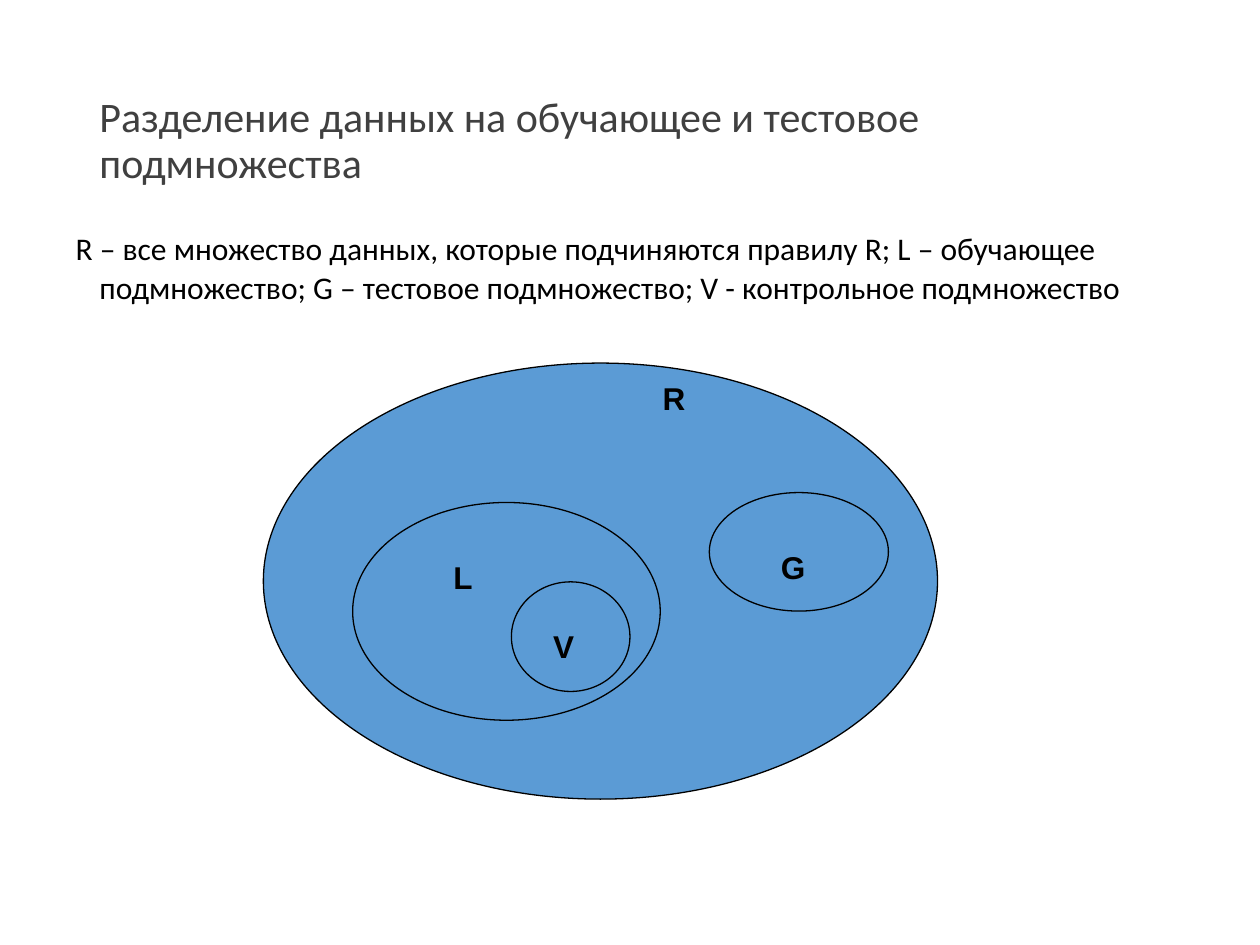
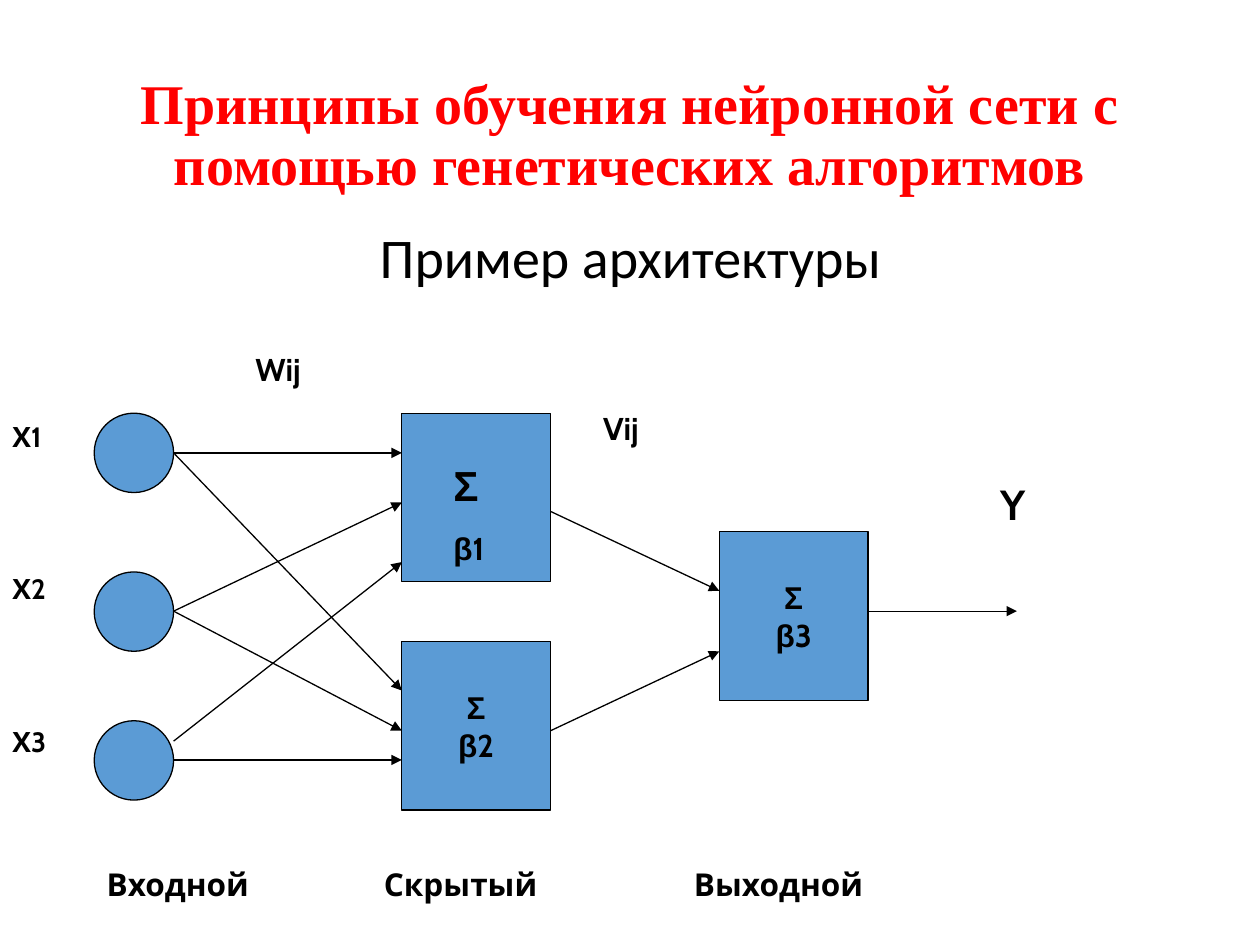
from lxml import etree
from pptx import Presentation
from pptx.dml.color import RGBColor
from pptx.enum.shapes import MSO_CONNECTOR, MSO_SHAPE
from pptx.enum.text import MSO_ANCHOR, MSO_AUTO_SIZE, PP_ALIGN
from pptx.oxml.ns import qn
from pptx.util import Cm, Pt

OVAL, RECT = MSO_SHAPE.OVAL, MSO_SHAPE.RECTANGLE
STRAIGHT = MSO_CONNECTOR.STRAIGHT
TOP, MIDDLE = MSO_ANCHOR.TOP, MSO_ANCHOR.MIDDLE
LEFT, CENTER = PP_ALIGN.LEFT, PP_ALIGN.CENTER
COLORS = {"black": "000000", "blue": "5B9BD5", "gray": "404040", "red": "FF0000"}
LINE_WIDTH = Pt(0.75)


def write(frame, paragraphs, align=LEFT, color="black", bold=True, spacing=1.0, gap=0):
    """Fill a frame; each paragraph is a list of (text, size, font) runs."""
    frame.word_wrap = True
    for number, runs in enumerate(paragraphs):
        paragraph = frame.paragraphs[0] if number == 0 else frame.add_paragraph()
        paragraph.alignment = align
        paragraph.line_spacing = spacing
        paragraph.space_before = Pt(gap if number else 0)
        for text, size, font in runs:
            run = paragraph.add_run()
            run.text = text
            run.font.size = Pt(size)
            run.font.name = font
            run.font.bold = bold
            run.font.color.rgb = RGBColor.from_string(COLORS[color])


def add_node(slide, kind, box):
    node = slide.shapes.add_shape(kind, *map(Cm, box))
    node.shadow.inherit = False
    node.fill.solid()
    node.fill.fore_color.rgb = RGBColor.from_string(COLORS["blue"])
    node.line.color.rgb = RGBColor.from_string(COLORS["black"])
    node.line.width = LINE_WIDTH
    return node


prs = Presentation()
prs.slide_width, prs.slide_height = Cm(25.4), Cm(19.05)
subsets_slide = prs.slides.add_slide(prs.slide_layouts[1])
network_slide = prs.slides.add_slide(prs.slide_layouts[0])

subsets_title, subsets_legend = subsets_slide.placeholders
network_title, network_subtitle = network_slide.placeholders
for placeholder, box, anchor in [
    (subsets_title, (1.75, 1.02, 21.92, 3.68), MIDDLE),
    (subsets_legend, (1.27, 4.45, 22.86, 14.07), TOP),
    (network_title, (1.9, 0.71, 21.59, 4.09), MIDDLE),
    (network_subtitle, (0.51, 4.52, 24.41, 14), TOP),
]:
    placeholder.left, placeholder.top, placeholder.width, placeholder.height = map(Cm, box)
    placeholder.text_frame.auto_size = MSO_AUTO_SIZE.NONE
    placeholder.text_frame.vertical_anchor = anchor

# Slide 1: data subsets
write(subsets_title.text_frame,
      [[("Разделение данных на обучающее и тестовое подмножества", 24, "Calibri")]],
      color="gray", bold=False, spacing=0.9)

legend_format = subsets_legend.text_frame.paragraphs[0]._p.get_or_add_pPr()
legend_format.set("marL", str(Cm(0.48)))
legend_format.set("indent", str(-Cm(0.48)))
etree.SubElement(legend_format, qn("a:buNone"))
write(subsets_legend.text_frame,
      [[("R – все множество данных, которые подчиняются правилу R; L – обучающее "
         "подмножество; G – тестовое подмножество; V - контрольное подмножество",
         18, "Calibri")]],
      bold=False, spacing=1.04)

for subset, oval_box, label_box in [
    ("R", (5.31, 7.32, 13.59, 8.79), (13.11, 7.52, 1.8, 1.02)),
    ("L", (7.11, 10.13, 6.2, 4.39), (8.89, 11.13, 2, 1.02)),
    ("G", (14.3, 9.93, 3.61, 2.39), (15.49, 10.92, 1.4, 1.02)),
    ("V", (10.31, 11.73, 2.39, 2.21), (10.9, 12.52, 1.4, 1.02)),
]:
    add_node(subsets_slide, OVAL, oval_box)
    label = subsets_slide.shapes.add_textbox(*map(Cm, label_box))
    write(label.text_frame, [[(subset, 18, "Arial")]])

# Slide 2: network architecture
write(network_title.text_frame,
      [[("Принципы обучения нейронной сети с помощью генетических алгоритмов",
         32, "Times New Roman")]],
      align=CENTER, color="red", spacing=0.9)
write(network_subtitle.text_frame, [[("Пример архитектуры", 32, "Calibri")]],
      align=CENTER, bold=False, spacing=0.9)

INPUT_LEFT, INPUT_SIZE = 1.9, 1.6
HIDDEN_LEFT, OUTPUT_LEFT = 8.1, 14.5
NEURON_WIDTH, NEURON_HEIGHT = 3, 3.4
for top in (8.33, 11.53, 14.53):
    add_node(network_slide, OVAL, (INPUT_LEFT, top, INPUT_SIZE, INPUT_SIZE))

for left, top, bias in [
    (HIDDEN_LEFT, 8.33, None),
    (HIDDEN_LEFT, 12.93, "2"),
    (OUTPUT_LEFT, 10.72, "3"),
]:
    neuron = add_node(network_slide, RECT, (left, top, NEURON_WIDTH, NEURON_HEIGHT))
    if bias:
        neuron.text_frame.vertical_anchor = MIDDLE
        write(neuron.text_frame,
              [[("Σ", 18, "Arial")], [("β", 18, "Arial"), (bias, 18, "Cabin")]],
              align=CENTER)

input_right = INPUT_LEFT + INPUT_SIZE
hidden_right = HIDDEN_LEFT + NEURON_WIDTH
output_right = OUTPUT_LEFT + NEURON_WIDTH
for start_x, end_x, heights in [
    (input_right, HIDDEN_LEFT, [(9.13, 9.13), (15.32, 15.32), (9.13, 13.92),
                                (12.32, 10.13), (12.32, 14.73), (14.94, 11.33)]),
    (hidden_right, OUTPUT_LEFT, [(10.31, 11.91), (14.73, 13.13)]),
    (output_right, 20.5, [(12.32, 12.32)]),
]:
    for start_y, end_y in heights:
        arrow = network_slide.shapes.add_connector(
            STRAIGHT, Cm(start_x), Cm(start_y), Cm(end_x), Cm(end_y))
        arrow.line.color.rgb = RGBColor.from_string(COLORS["black"])
        arrow.line.width = LINE_WIDTH
        etree.SubElement(arrow.line._get_or_add_ln(), qn("a:tailEnd"), type="triangle")
        etree.SubElement(arrow._element.spPr, qn("a:effectLst"))

for box, gap, paragraphs in [
    ((0, 8.33, 1.3, 9.17), 68, [[(name, 16, "Cabin")] for name in ("Х1", "Х2", "Х3")]),
    ((4.9, 6.93, 1.6, 1.02), 0, [[("Wij", 18, "Cabin")]]),
    ((11.91, 8.13, 1.6, 1.02), 0, [[("Vij", 18, "Cabin")]]),
    ((8.89, 9.13, 1.4, 2.44), 11.2,
     [[("Σ", 24, "Arial")], [("β", 18, "Arial"), ("1", 18, "Cabin")]]),
    ((19.91, 9.53, 2.39, 1.27), 0, [[("Y", 24, "Cabin")]]),
]:
    label = network_slide.shapes.add_textbox(*map(Cm, box))
    write(label.text_frame, paragraphs, gap=gap)

layer_names = network_slide.shapes.add_textbox(Cm(1.9), Cm(17.32), Cm(21.21), Cm(1.02))
layer_format = layer_names.text_frame.paragraphs[0]._p.get_or_add_pPr()
layer_tabs = etree.SubElement(layer_format, qn("a:tabLst"))
for position in (5.59, 11.84):
    etree.SubElement(layer_tabs, qn("a:tab"), pos=str(Cm(position)), algn="l")
write(layer_names.text_frame, [[("Входной\tСкрытый\tВыходной", 18, "Cabin")]])

prs.save("out.pptx")
